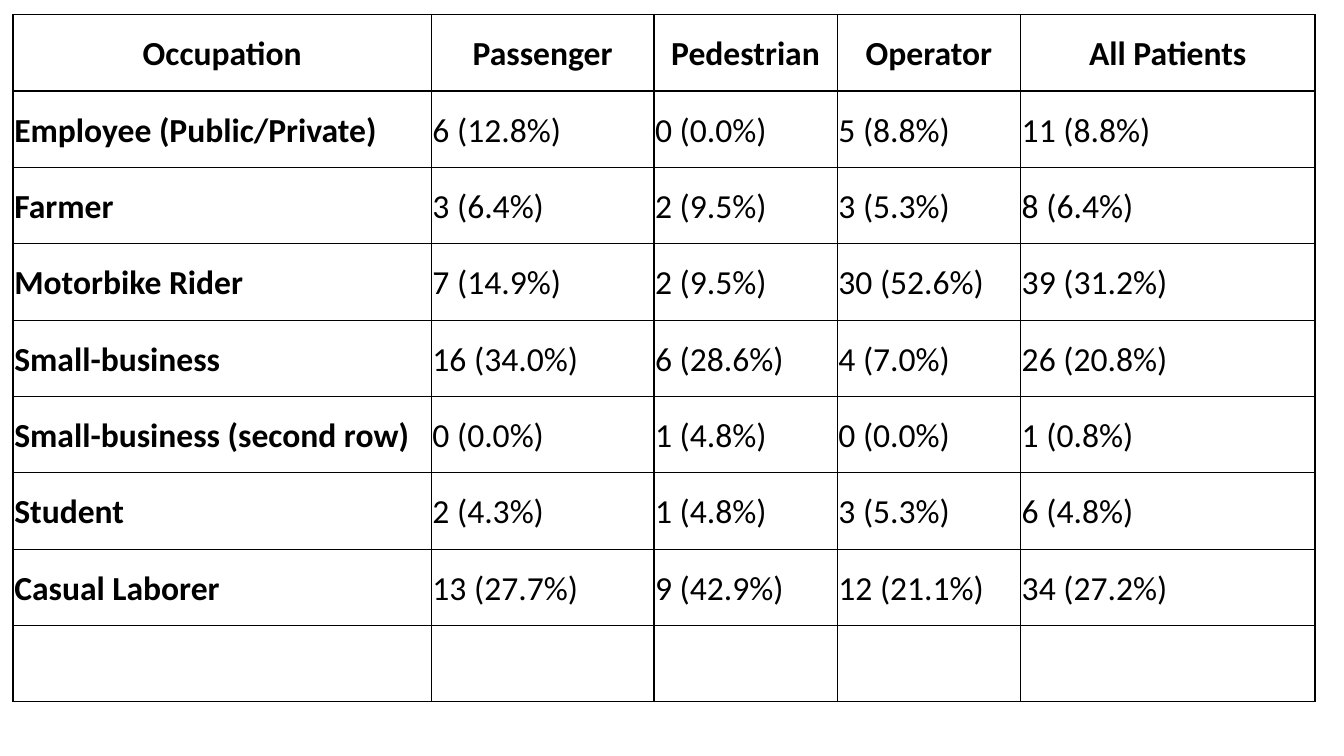
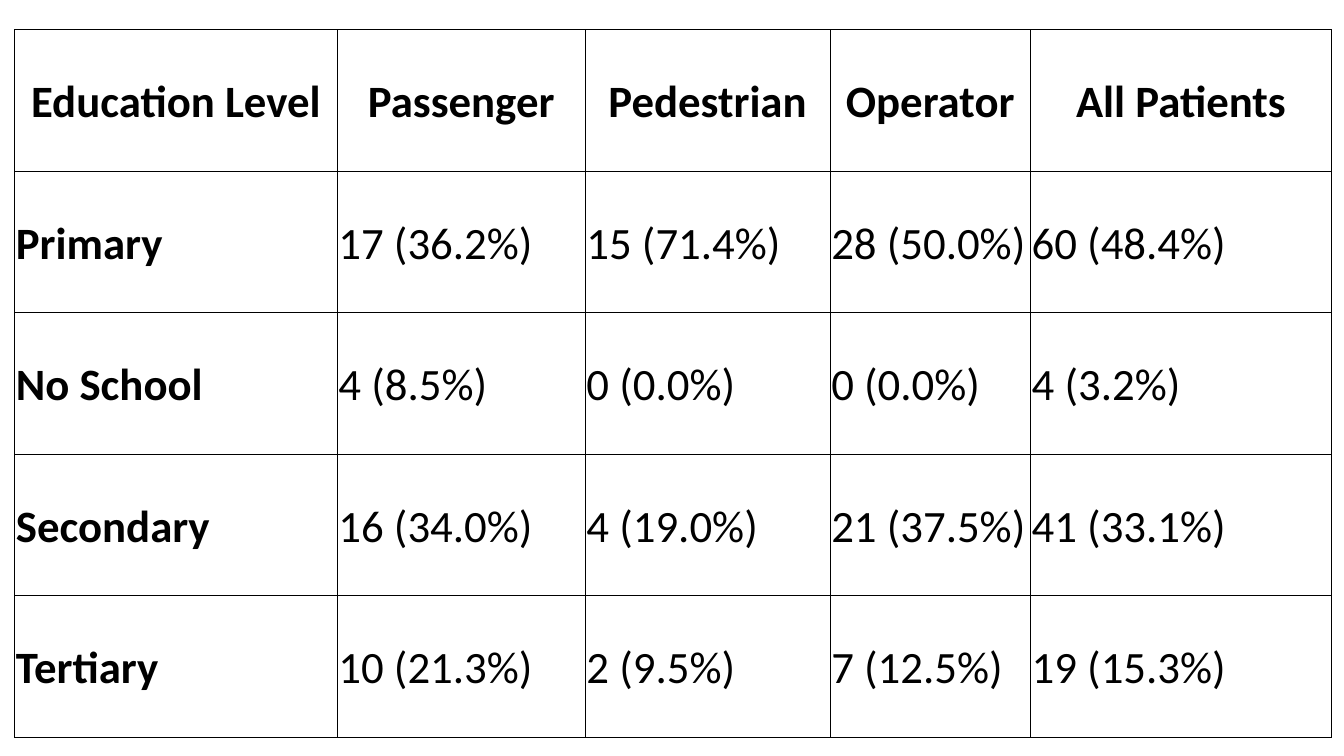
import pptx
import pptx.dml.color
import pptx.enum.text
import pptx.oxml
import pptx.oxml.ns
import pptx.util

Cm = pptx.util.Cm
Pt = pptx.util.Pt

# Shared style
FONT = "Calibri"
INK = "000000"
PAPER = "FFFFFF"
BORDER_WIDTH = Pt(1)
CELL_INSET = Cm(0.03)
LINE_SPACING = 1.07
BLANK_LAYOUT = 6

GROUPS = ["Passenger", "Pedestrian", "Operator", "All Patients"]

OCCUPATIONS = [
    ["Occupation", *GROUPS],
    ["Employee (Public/Private)", "6 (12.8%)", "0 (0.0%)", "5 (8.8%)", "11 (8.8%)"],
    ["Farmer", "3 (6.4%)", "2 (9.5%)", "3 (5.3%)", "8 (6.4%)"],
    ["Motorbike Rider", "7 (14.9%)", "2 (9.5%)", "30 (52.6%)", "39 (31.2%)"],
    ["Small-business", "16 (34.0%)", "6 (28.6%)", "4 (7.0%)", "26 (20.8%)"],
    ["Small-business (second row)", "0 (0.0%)", "1 (4.8%)", "0 (0.0%)", "1 (0.8%)"],
    ["Student", "2 (4.3%)", "1 (4.8%)", "3 (5.3%)", "6 (4.8%)"],
    ["Casual Laborer", "13 (27.7%)", "9 (42.9%)", "12 (21.1%)", "34 (27.2%)"],
    [""] * 5,
]

EDUCATION = [
    ["Education Level", *GROUPS],
    ["Primary", "17 (36.2%)", "15 (71.4%)", "28 (50.0%)", "60 (48.4%)"],
    ["No School", "4 (8.5%)", "0 (0.0%)", "0 (0.0%)", "4 (3.2%)"],
    ["Secondary", "16 (34.0%)", "4 (19.0%)", "21 (37.5%)", "41 (33.1%)"],
    ["Tertiary", "10 (21.3%)", "2 (9.5%)", "7 (12.5%)", "19 (15.3%)"],
]


def color(value):
    return pptx.dml.color.RGBColor.from_string(value)


def add_borders(cell):
    """Draw a solid line on all four sides of a cell."""
    properties = cell._tc.get_or_add_tcPr()
    for side in ("lnL", "lnR", "lnT", "lnB"):
        properties.append(pptx.oxml.parse_xml(
            f'<a:{side} {pptx.oxml.ns.nsdecls("a")} w="{BORDER_WIDTH}">'
            f'<a:solidFill><a:srgbClr val="{INK}"/></a:solidFill></a:{side}>'))


def format_cell(cell):
    add_borders(cell)
    cell.fill.solid()
    cell.fill.fore_color.rgb = color(PAPER)
    cell.margin_left = cell.margin_right = CELL_INSET
    cell.margin_top = cell.margin_bottom = CELL_INSET
    cell.vertical_anchor = pptx.enum.text.MSO_ANCHOR.MIDDLE


def write_cell(cell, text, size, bold, centered):
    para = cell.text_frame.paragraphs[0]
    para.line_spacing = LINE_SPACING
    if centered:
        para.alignment = pptx.enum.text.PP_ALIGN.CENTER
    span = para.add_run()
    span.text = text
    span.font.name = FONT
    span.font.size = Pt(size)
    span.font.bold = bold
    span.font.color.rgb = color(INK)


def add_table_page(deck, rows, left, top, height, widths, size):
    """Add a slide holding one table with equal rows."""
    page = deck.slides.add_slide(deck.slide_layouts[BLANK_LAYOUT])
    table = page.shapes.add_table(
        len(rows), len(widths), Cm(left), Cm(top), Cm(sum(widths)), Cm(height)).table
    table.first_row = False
    table.horz_banding = False
    for column, width in zip(table.columns, widths):
        column.width = Cm(width)

    # Header row is centred; header row and first column are bold
    for i, texts in enumerate(rows):
        for j, text in enumerate(texts):
            cell = table.cell(i, j)
            format_cell(cell)
            if text:
                write_cell(cell, text, size, bold=i == 0 or j == 0, centered=i == 0)


def main():
    deck = pptx.Presentation()
    deck.slide_width = Cm(33.87)
    deck.slide_height = Cm(19.05)
    add_table_page(deck, OCCUPATIONS, left=0.33, top=0.37, height=17.32,
                   widths=[10.54, 5.61, 4.62, 4.62, 7.42], size=24)
    add_table_page(deck, EDUCATION, left=0.37, top=0.75, height=17.83,
                   widths=[8.13, 6.25, 6.17, 5.05, 7.59], size=32)
    deck.save("out.pptx")


if __name__ == "__main__":
    main()
